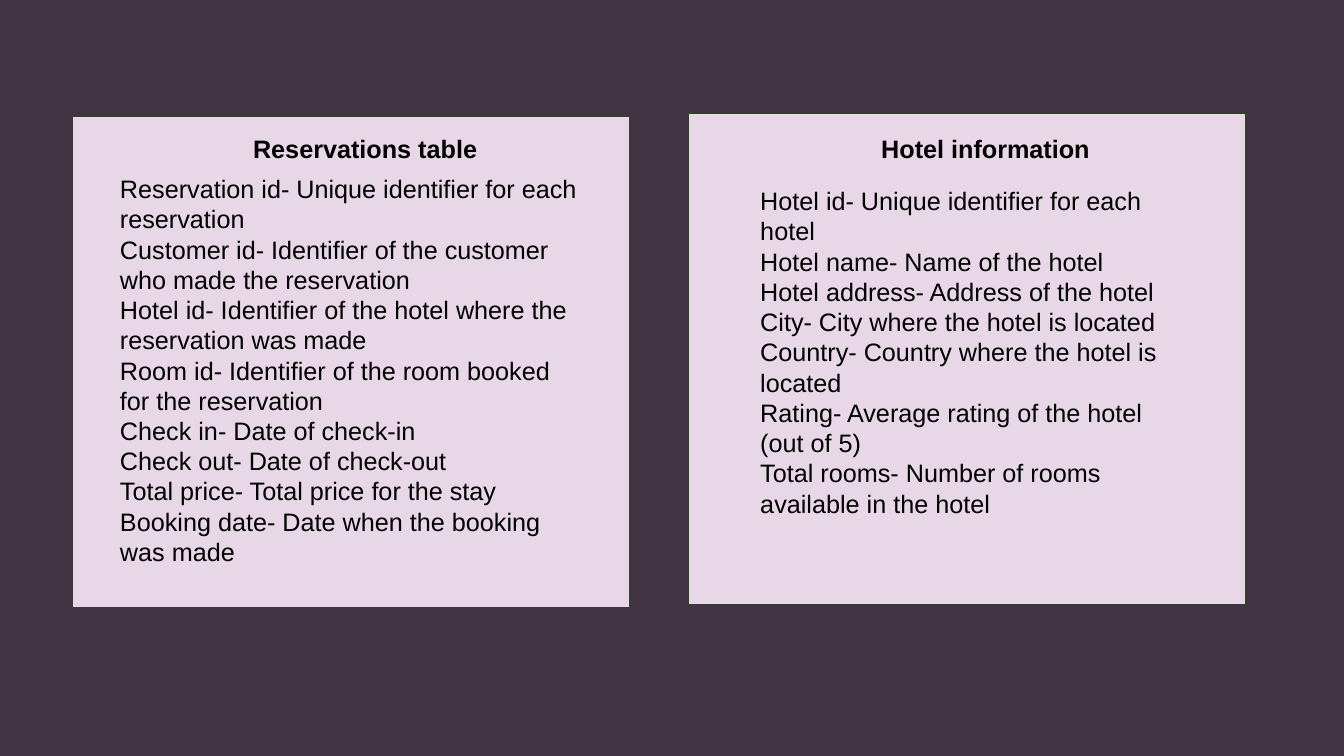
from dataclasses import dataclass

from lxml import etree
from pptx import Presentation
from pptx.dml.color import RGBColor
from pptx.enum import shapes, text
from pptx.oxml import ns
from pptx.util import Inches, Pt


@dataclass(frozen=True)
class Theme:
    background: RGBColor = RGBColor(0x43, 0x34, 0x43)
    card: RGBColor = RGBColor(0xE8, 0xD8, 0xE7)
    border: RGBColor = RGBColor(0x35, 0x3E, 0x30)
    ink: RGBColor = RGBColor(0, 0, 0)
    font: str = "Arial"
    size: Pt = Pt(18)
    border_width: Pt = Pt(1)


THEME = Theme()

RESERVATION_FIELDS = [
    "Reservation id- Unique identifier for each reservation",
    "Customer id- Identifier of the customer who made the reservation",
    "Hotel id- Identifier of the hotel where the reservation was made",
    "Room id- Identifier of the room booked for the reservation",
    "Check in- Date of check-in",
    "Check out- Date of check-out",
    "Total price- Total price for the stay",
    "Booking date- Date when the booking was made",
]
HOTEL_FIELDS = [
    "Hotel id- Unique identifier for each hotel",
    "Hotel name- Name of the hotel",
    "Hotel address- Address of the hotel",
    "City- City where the hotel is located",
    "Country- Country where the hotel is located",
    "Rating- Average rating of the hotel (out of 5)",
    "Total rooms- Number of rooms available in the hotel",
]


def add_card(slide, left, top):
    card = slide.shapes.add_shape(
        shapes.MSO_SHAPE.RECTANGLE,
        Inches(left), Inches(top), Inches(5.53), Inches(4.88))
    card.shadow.inherit = False
    card.fill.solid()
    card.fill.fore_color.rgb = THEME.card
    card.line.color.rgb = THEME.border
    card.line.width = THEME.border_width
    # Send the card behind the placeholders
    slide.shapes._spTree.insert(2, card._element)


def fill_placeholder(holder, box, lines, bold=False):
    holder.left, holder.top, holder.width, holder.height = map(Inches, box)
    frame = holder.text_frame
    frame.text = "\n".join(lines)
    frame.word_wrap = True
    frame.auto_size = text.MSO_AUTO_SIZE.SHAPE_TO_FIT_TEXT
    frame.vertical_anchor = text.MSO_ANCHOR.TOP
    for paragraph in frame.paragraphs:
        paragraph.alignment = text.PP_ALIGN.LEFT
        paragraph.space_before = Pt(0)
        paragraph.font.name = THEME.font
        paragraph.font.size = THEME.size
        paragraph.font.bold = bold
        paragraph.font.color.rgb = THEME.ink
        # Plain lines: no bullet and no hanging indent
        properties = paragraph._p.get_or_add_pPr()
        properties.set("marL", "0")
        properties.set("indent", "0")
        bullet = etree.Element(ns.qn("a:buNone"))
        properties.insert_element_before(bullet, "a:tabLst", "a:defRPr", "a:extLst")


def main():
    prs = Presentation()
    prs.slide_width, prs.slide_height = Inches(13.33), Inches(7.5)

    # Comparison layout: a heading and a list on each side
    slide = prs.slides.add_slide(prs.slide_layouts.get_by_name("Comparison"))
    slide.background.fill.solid()
    slide.background.fill.fore_color.rgb = THEME.background
    unused_title = slide.shapes.title._element
    unused_title.getparent().remove(unused_title)
    left_heading, left_list, right_heading, right_list = slide.placeholders

    # Reservations
    add_card(slide, 0.72, 1.15)
    fill_placeholder(left_heading, (2.41, 1.27, 3.06, 0.4),
                     ["Reservations table"], bold=True)
    fill_placeholder(left_list, (1.09, 1.67, 4.78, 4.04), RESERVATION_FIELDS)

    # Hotels
    add_card(slide, 6.83, 1.12)
    fill_placeholder(right_heading, (8.64, 1.27, 3.06, 0.4),
                     ["Hotel information"], bold=True)
    fill_placeholder(right_list, (7.44, 1.79, 4.47, 3.74), HOTEL_FIELDS)

    prs.save("out.pptx")


if __name__ == "__main__":
    main()
